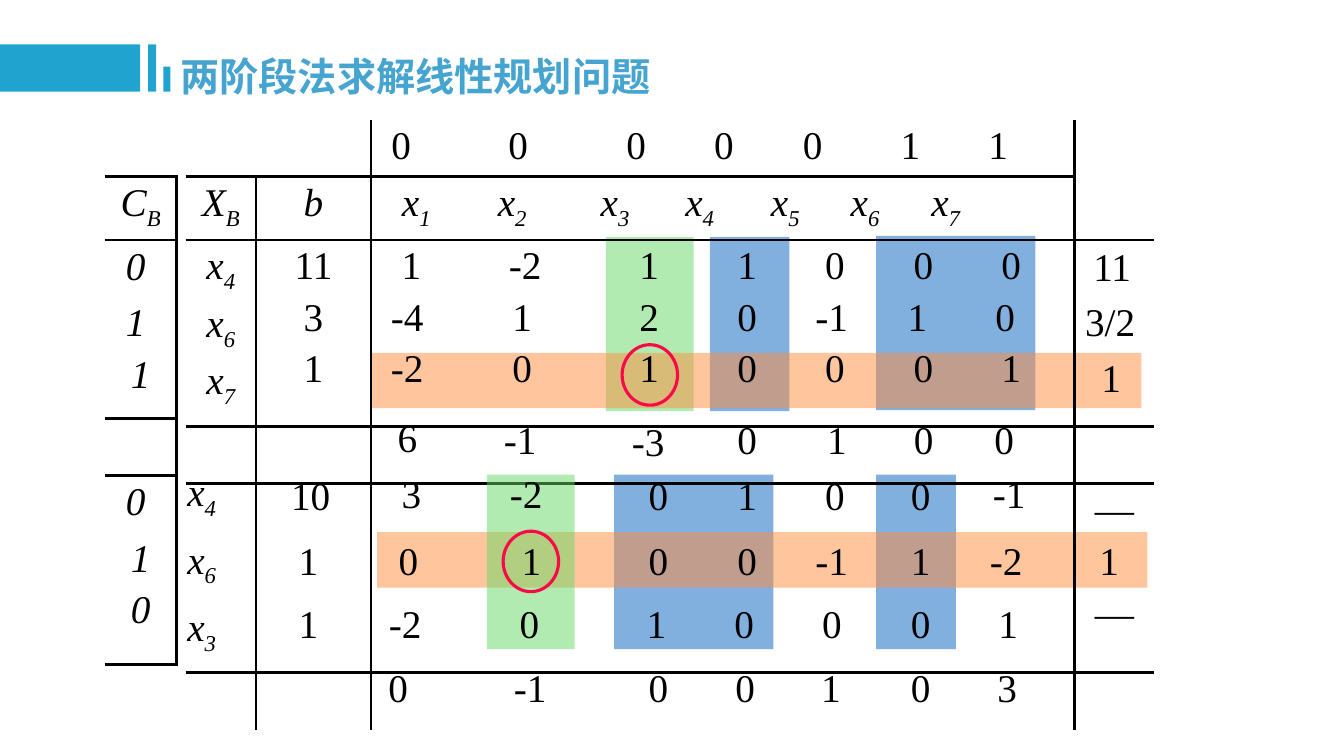
from lxml.etree import SubElement
from pptx import Presentation
from pptx.dml.color import RGBColor
from pptx.enum.shapes import MSO_SHAPE as Preset
from pptx.enum.text import MSO_ANCHOR as Anchor, MSO_AUTO_SIZE as AutoSize, PP_ALIGN as Align
from pptx.oxml.ns import qn
from pptx.util import Cm, Pt

SERIF = "Times New Roman"
BLACK, ACCENT, TITLE_BLUE, RED = "000000", "21A3D0", "46A4D0", "F90948"
BLUE, GREEN, ORANGE = "0563C1", "67D967", "FF8C3D"
PLAIN_TABLE = "{2D5ABB26-0587-4C30-8999-92F81FD0307C}"
CHARACTER_WIDTHS = {"-": 0.14, "/": 0.12}
TEXT_LEFT = 3.78

MAIN_COLUMNS = [0.7, 1.14, 6.98, 0.79]
MAIN_ROWS = [0.56, 0.63, 1.85, 0.57, 1.87, 0.57]
BASIS_ROWS = [0.63, 1.77, 0.57, 1.87]

COST_STOPS = [3.98, 5.14, 6.31, 7.18, 8.06, 9.03, 9.9]
VARIABLE_STOPS = [4.13, 5.08, 6.1, 6.94, 7.79, 8.58, 9.38]
COEFFICIENT_STOPS = [
    [4.08, 5.21, 6.44, 7.41, 8.28, 9.16, 10.03],
    [4.04, 5.18, 6.44, 7.41, 8.25, 9.1, 9.97],
    [4.04, 5.18, 6.44, 7.41, 8.28, 9.16, 10.03],
]
COEFFICIENTS = ["1 -2 1 1 0 0 0", "-4 1 2 0 -1 1 0", "-2 0 1 0 0 0 1"]

NUMBER_ROWS = [
    (4.07, "-1 0 1 0 0", [5.16, 7.41, 8.3, 9.16, 9.96]),
    (4.05, "6", [4.04]),
    (4.09, "-3", [6.43]),
    (4.63, "10 0 1 0 0", [3.08, 6.53, 7.41, 8.28, 9.13]),
    (4.61, "3 -2 -1", [4.08, 5.22, 10.01]),
    (5.27, "1 0 1 0 0 -1 1 -2 1",
     [3.06, 4.05, 5.27, 6.53, 7.41, 8.25, 9.13, 9.98, 11.0]),
    (5.9, "1 -2 0 1 0 0 0 1", [3.06, 4.02, 5.25, 6.51, 7.38, 8.25, 9.13, 10.0]),
    (6.53, "0 -1 0 0 1 0 3", [3.95, 5.26, 6.53, 7.39, 8.24, 9.13, 9.99]),
    (2.35, "11", [11.03]),
    (2.9, "3/2", [11.01]),
    (3.46, "1", [11.02]),
]


def length(inches):
    return Cm(inches * 2.54)


def box(*inches):
    return [length(value) for value in inches]


def colour(value):
    return RGBColor.from_string(value)


def apply(target, values):
    for name, value in values.items():
        setattr(target, name, value)


def add_run(paragraph, text, italic=False, subscript=False):
    run = paragraph.add_run()
    run.text = text
    apply(run.font, {"name": SERIF, "size": Pt(28), "italic": italic})
    run.font.color.rgb = colour(BLACK)
    if subscript:
        run._r.get_or_add_rPr().set("baseline", "-25000")


def write_lines(frame, lines, italic=False, align=Align.CENTER, gaps=(0, 5.6, 5.6), stops=()):
    for index, line in enumerate(lines):
        paragraph = frame.paragraphs[0] if index == 0 else frame.add_paragraph()
        apply(paragraph, {"alignment": align, "space_before": Pt(gaps[index])})
        if stops:
            tab_list = SubElement(paragraph._p.get_or_add_pPr(), qn("a:tabLst"))
            for stop in stops[index]:
                SubElement(tab_list, qn("a:tab"), pos=str(length(stop - TEXT_LEFT)), algn="ctr")
            parts = ["\t" + part for part in line.split()]
        else:
            parts = [line]
        for part in parts:
            base, _, subscript = part.partition("_")
            add_run(paragraph, base, italic)
            if subscript:
                add_run(paragraph, subscript, italic, True)


def add_block(slide, place, fill=None, line=None, alpha=None, preset=Preset.RECTANGLE):
    shape = slide.shapes.add_shape(preset, *box(*place))
    shape.shadow.inherit = False
    if fill:
        shape.fill.solid()
        shape.fill.fore_color.rgb = colour(fill)
        if alpha:
            SubElement(shape.fill._xPr.find(".//" + qn("a:srgbClr")), qn("a:alpha"), val=str(alpha * 1000))
    else:
        shape.fill.background()
    if line:
        shape.line.color.rgb = colour(line)
        shape.line.width = Pt(2.25)
    else:
        shape.line.fill.background()


def add_text(slide, place, lines, wrap=False, **style):
    frame = slide.shapes.add_textbox(*box(*place)).text_frame
    apply(frame, {"word_wrap": wrap, "auto_size": AutoSize.SHAPE_TO_FIT_TEXT})
    write_lines(frame, lines, **style)


def add_number(slide, text, centre, top):
    width = 0.22 + sum(CHARACTER_WIDTHS.get(character, 0.2) for character in text)
    add_text(slide, (centre - width / 2, top, width, 0.57), [text])


def add_plain_table(slide, left, top, columns, rows):
    place = box(left, top, sum(columns), sum(rows))
    table = slide.shapes.add_table(len(rows), len(columns), *place).table
    apply(table, {"first_row": False, "horz_banding": False})
    table._tbl.tblPr.find(qn("a:tableStyleId")).text = PLAIN_TABLE
    for column, width in zip(table.columns, columns):
        column.width = length(width)
    for row, height in zip(table.rows, rows):
        row.height = length(height)
    for cell in table.iter_cells():
        cell.fill.background()
    return table


def set_borders(cell, sides):
    properties = cell._tc.get_or_add_tcPr()
    for position, side in enumerate("LRTB"):
        line = SubElement(properties, qn("a:ln" + side), w=str(Pt(2.25)))
        if side in sides:
            SubElement(SubElement(line, qn("a:solidFill")), qn("a:srgbClr"), val=BLACK)
        else:
            SubElement(line, qn("a:noFill"))
        properties.insert(position, line)


def add_main_table(slide):
    table = add_plain_table(slide, 1.84, 1.19, MAIN_COLUMNS, MAIN_ROWS)
    table.cell(0, 0).merge(table.cell(0, 1))
    table.cell(0, 3).merge(table.cell(1, 3))
    for row in range(len(MAIN_ROWS)):
        for column in range(len(MAIN_COLUMNS)):
            cell = table.cell(row, column)
            edges = {"L": column > 0 and not (cell.is_spanned and row == 0), "R": column < 3,
                     "T": row > 0 and not (cell.is_spanned and column == 3), "B": row < 5}
            set_borders(cell, [side for side, drawn in edges.items() if drawn])
    left = Align.LEFT
    contents = {
        (0, 2): (["0 0 0 0 0 1 1"], {"align": left, "stops": [COST_STOPS]}),
        (1, 0): (["X_B"], {"italic": True}),
        (1, 1): (["b"], {"italic": True}),
        (1, 2): (["x_1 x_2 x_3 x_4 x_5 x_6 x_7"],
                 {"italic": True, "align": left, "stops": [VARIABLE_STOPS]}),
        (2, 0): (["x_4", "x_6", "x_7"], {"italic": True}),
        (2, 1): (["11", "3", "1"], {}),
        (2, 2): (COEFFICIENTS, {"align": left, "stops": COEFFICIENT_STOPS}),
        (4, 3): (["—", "—"], {"gaps": (0, 43)}),
    }
    for (row, column), (lines, style) in contents.items():
        write_lines(table.cell(row, column).text_frame, lines, **style)


def add_basis_table(slide):
    table = add_plain_table(slide, 1.04, 1.75, [0.71], BASIS_ROWS)
    for cell in table.iter_cells():
        set_borders(cell, "RTB")
    contents = {0: ["C_B"], 1: ["0 ", "1 ", "1"], 3: ["0 ", "1", "0"]}
    for row, lines in contents.items():
        write_lines(table.cell(row, 0).text_frame, lines, italic=True, gaps=(0, 9.6, 5.6))


def add_title(slide, text):
    title = slide.shapes.title
    apply(title, dict(zip(("left", "top", "width", "height"), box(1.69, 0.38, 4.91, 0.67))))
    frame = title.text_frame
    apply(frame, {"word_wrap": False, "auto_size": AutoSize.NONE, "vertical_anchor": Anchor.TOP})
    paragraph = frame.paragraphs[0]
    apply(paragraph, {"alignment": Align.LEFT, "line_spacing": 1.2})
    run = paragraph.add_run()
    run.text = text
    apply(run.font, {"name": "Noto Sans CJK SC", "size": Pt(28), "bold": True})
    run.font.color.rgb = colour(TITLE_BLUE)
    SubElement(run._r.get_or_add_rPr(), qn("a:ea"), typeface="Noto Sans CJK SC")


def main():
    presentation = Presentation()
    apply(presentation, {"slide_width": length(13.33), "slide_height": length(7.5)})
    slide = presentation.slides.add_slide(presentation.slide_layouts[5])
    add_title(slide, "两阶段法求解线性规划问题")
    for place in [(0, 0.44, 1.39, 0.47), (1.47, 0.44, 0.08, 0.47), (1.62, 0.66, 0.07, 0.25)]:
        add_block(slide, place, ACCENT)

    for left, top, width, fill in [(7.04, 2.35, 0.79, BLUE), (8.69, 2.34, 1.58, BLUE),
                                   (6.01, 2.35, 0.87, GREEN), (8.69, 4.71, 0.79, BLUE),
                                   (6.09, 4.71, 1.58, BLUE)]:
        add_block(slide, (left, top, width, 1.73), fill, alpha=50)
    for left, top in [(3.74, 5.28), (3.68, 3.5)]:
        add_block(slide, (left, top, 7.64, 0.55), ORANGE, alpha=50)
    add_main_table(slide)
    add_block(slide, (4.83, 4.71, 0.87, 1.73), GREEN, alpha=50)

    for top, numbers, centres in NUMBER_ROWS:
        for number, centre in zip(numbers.split(), centres):
            add_number(slide, number, centre, top)
    add_text(slide, (1.76, 4.59, 0.8, 1.83), ["x_4", "x_6", "x_3"], wrap=True,
             italic=True, align=Align.LEFT, gaps=(0, 9.8, 9.8))
    for left, top in [(6.17, 3.42), (4.99, 5.27)]:
        add_block(slide, (left, top, 0.55, 0.6), line=RED, preset=Preset.OVAL)
    add_basis_table(slide)
    presentation.save("out.pptx")


if __name__ == "__main__":
    main()
